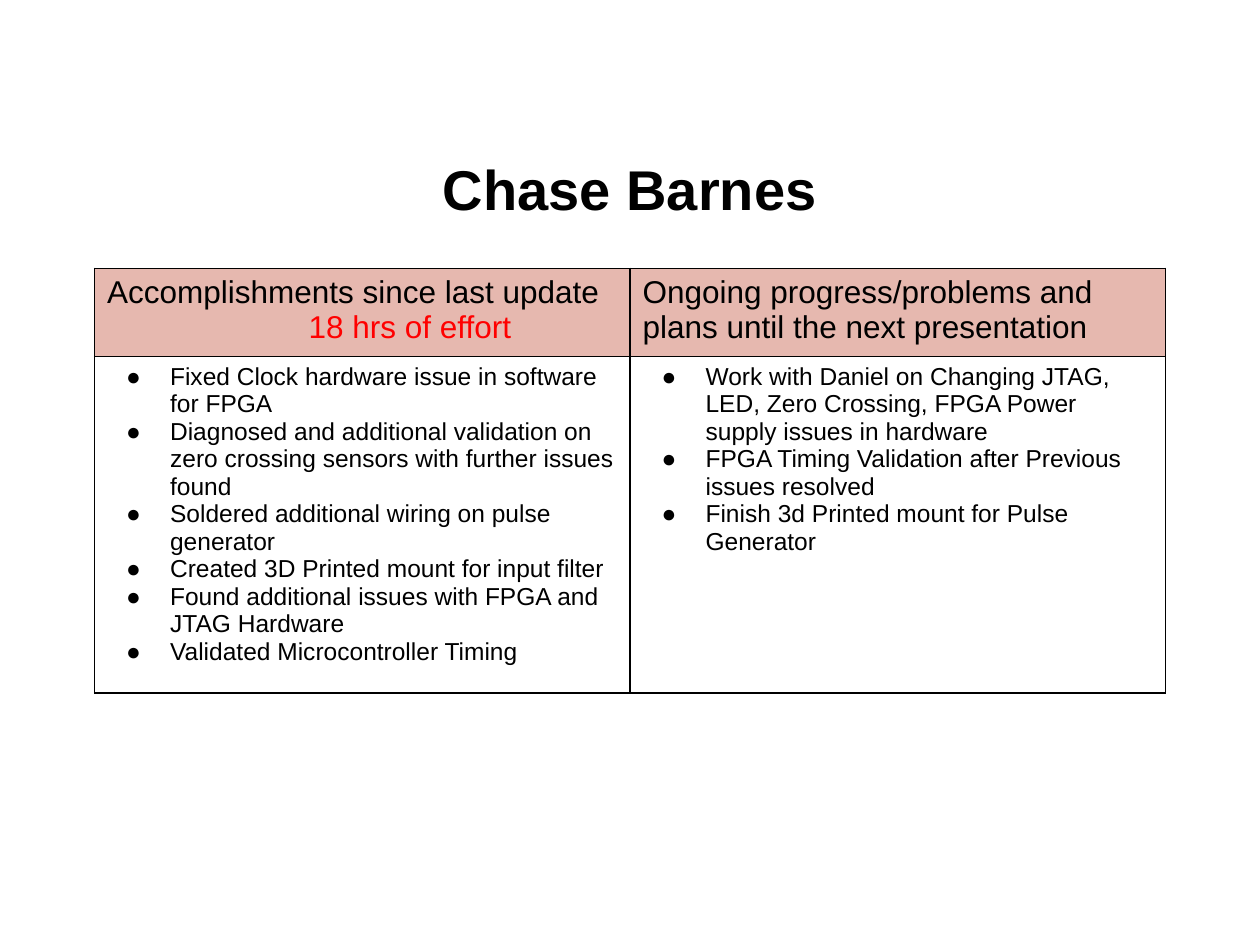
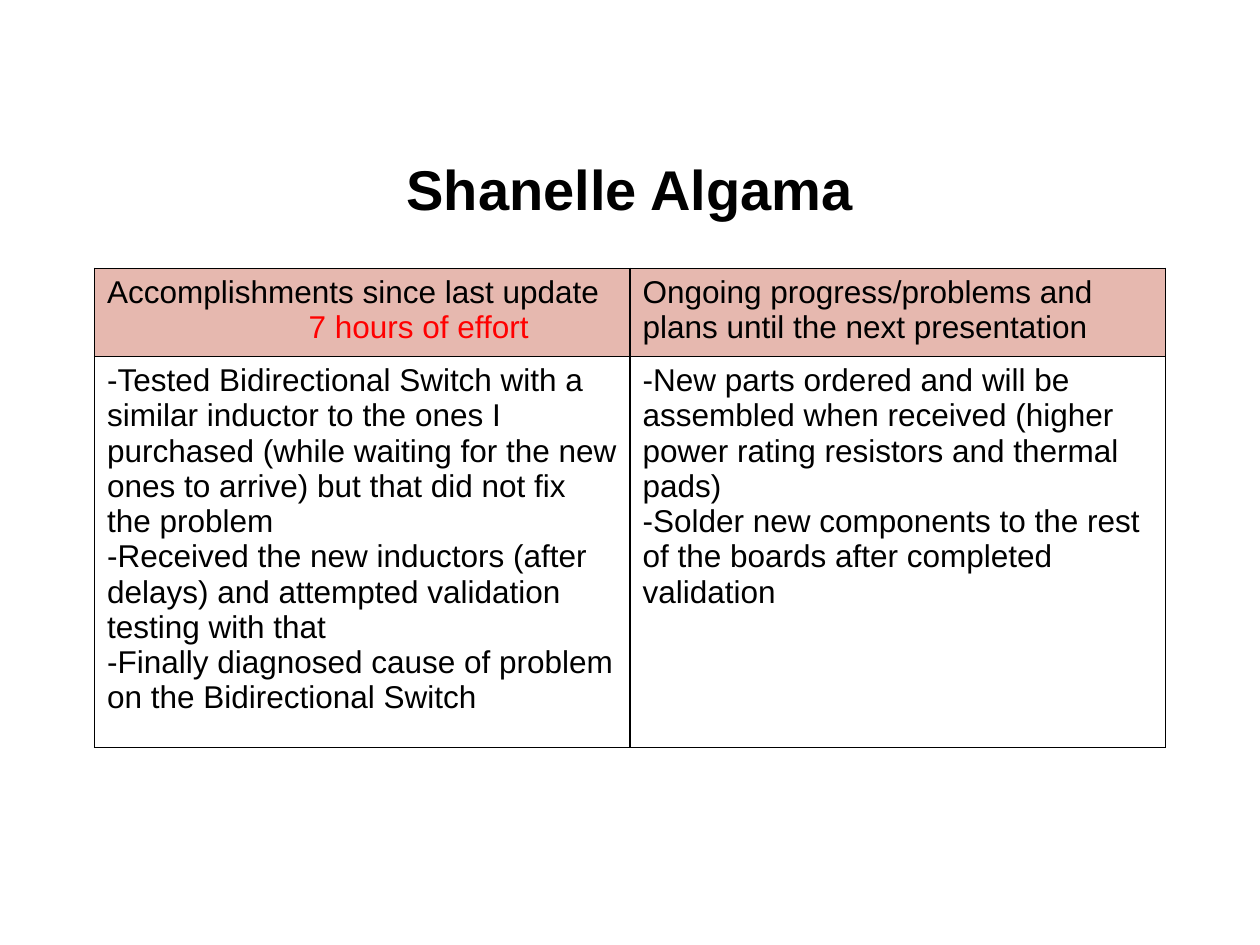
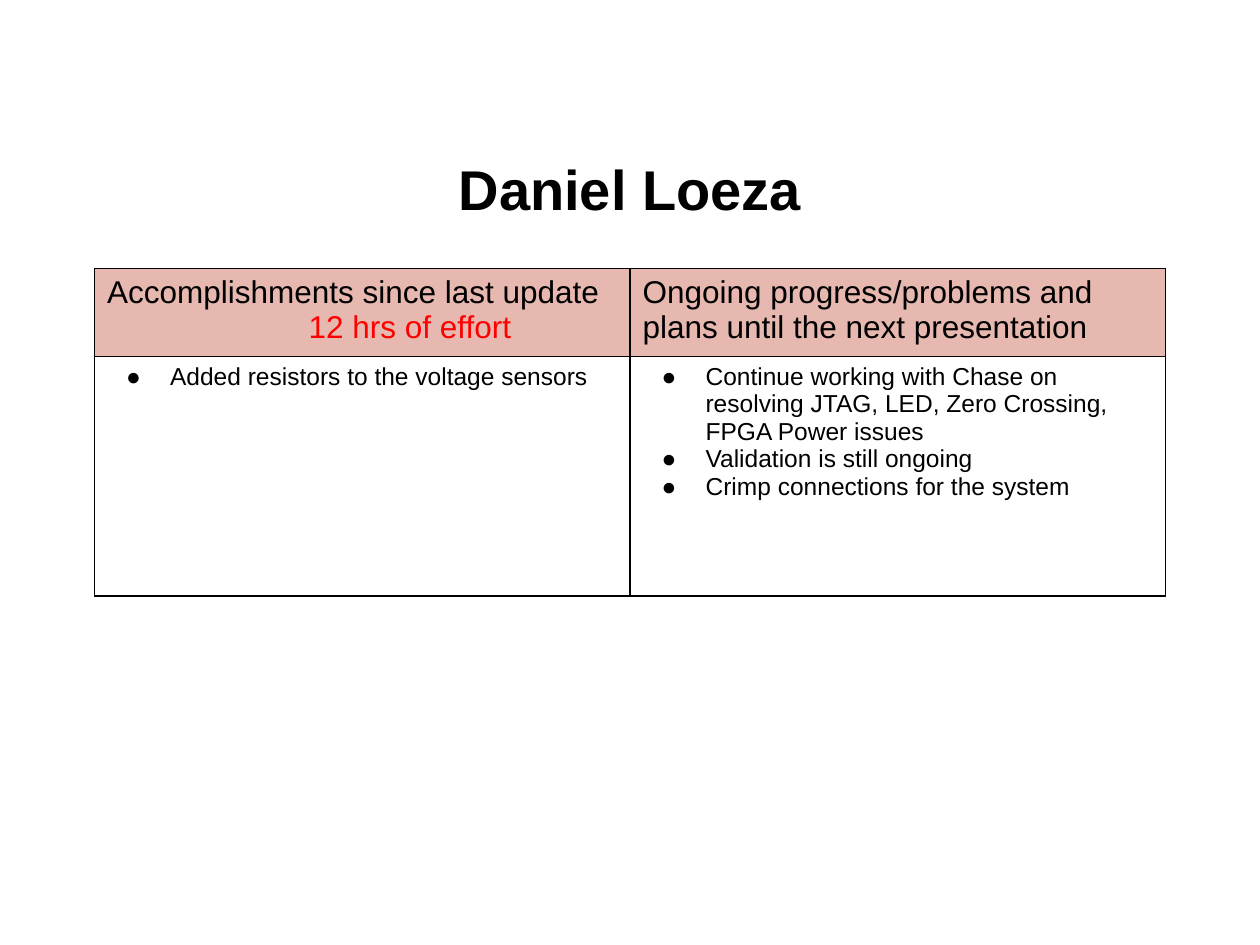
from lxml import etree
from pptx import Presentation
from pptx import util as u
from pptx.dml.color import RGBColor
from pptx.enum import text
from pptx.oxml import ns

WIDE, HIGH = 10, 7.5
FONT = "Arial"
INK = {"text": "000000", "effort": "FF0000", "head": "E6B8AF", "page": "FFFFFF"}
TITLE = (0.5, 1.01, 9, 0.88)
GRID = (0.75, 2.13, 8.5, 2.6)
ROWS = (0.7, 1.9)
DONE = "Accomplishments since last update"
NEXT = "Ongoing progress/problems and plans until the next presentation"

PEOPLE = [
    {"name": "Chase Barnes", "effort": "18 hrs of effort", "list": True,
     "done": ["Fixed Clock hardware issue in software for FPGA",
              "Diagnosed and additional validation on zero crossing sensors "
              "with further issues found",
              "Soldered additional wiring on pulse generator",
              "Created 3D Printed mount for input filter",
              "Found additional issues with FPGA and JTAG Hardware",
              "Validated Microcontroller Timing"],
     "next": ["Work with Daniel on Changing JTAG, LED, Zero Crossing, FPGA Power "
              "supply issues in hardware",
              "FPGA Timing Validation after Previous issues resolved",
              "Finish 3d Printed mount for Pulse Generator"]},
    {"name": "Shanelle Algama", "effort": "7 hours of effort", "list": False,
     "done": ["-Tested Bidirectional Switch with a similar inductor to the ones I "
              "purchased (while waiting for the new ones to arrive) but that did "
              "not fix the problem",
              "-Received the new inductors (after delays) and attempted validation "
              "testing with that",
              "-Finally diagnosed cause of problem on the Bidirectional Switch"],
     "next": ["-New parts ordered and will be assembled when received (higher power "
              "rating resistors and thermal pads)",
              "-Solder new components to the rest of the boards after completed "
              "validation"]},
    {"name": "Daniel Loeza", "effort": "12 hrs of effort", "list": True,
     "done": ["Added resistors to the voltage sensors"],
     "next": ["Continue working with Chase on resolving JTAG, LED, Zero Crossing, "
              "FPGA Power issues",
              "Validation is still ongoing",
              "Crimp connections for the system"]},
]


def add(node, tag, **attrs):
    """Append a drawing element to a node and return it."""
    return etree.SubElement(node, ns.qn(f"a:{tag}"), attrs)


def tint(node, ink):
    """Append a colour element to a node."""
    add(node, "srgbClr", val=INK[ink])


def style(para, size, ink="text", bold=False):
    """Set the font of a whole paragraph."""
    font = para.font
    font.name, font.size, font.bold = FONT, u.Pt(size), bold
    font.color.rgb = RGBColor.from_string(INK[ink])


def indent(para, left, first=0):
    """Set the left margin and first line indent of a paragraph."""
    props = para._p.get_or_add_pPr()
    props.set("marL", str(u.Inches(left)))
    props.set("indent", str(u.Inches(first)))
    return props


def bullet(para):
    """Give a paragraph a hanging round bullet."""
    props = indent(para, 0.5, -0.35)
    tint(add(props, "buClr"), "text")
    add(props, "buFont", typeface=FONT)
    add(props, "buChar", char="●")


def paint(cell, ink):
    """Draw the four borders of a cell and fill it."""
    props = cell._tc.get_or_add_tcPr()
    for side in ("lnL", "lnR", "lnT", "lnB"):
        line = add(props, side, w=str(u.Pt(1)))
        tint(add(line, "solidFill"), "text")
    cell.fill.solid()
    cell.fill.fore_color.rgb = RGBColor.from_string(INK[ink])


def write(cell, lines, listed=False):
    """Fill a cell with one paragraph per line and return the paragraphs."""
    frame = cell.text_frame
    frame.text = "\n".join(lines)
    for para in frame.paragraphs:
        if listed:
            bullet(para)
        style(para, 14 if listed else 18)
    return frame.paragraphs


def title(slide, box, name):
    """Add the centred name of a person."""
    frame = slide.shapes.add_textbox(*map(u.Inches, box)).text_frame
    frame.word_wrap = True
    frame.vertical_anchor = text.MSO_ANCHOR.MIDDLE
    para = frame.paragraphs[0]
    para.text = name
    para.alignment = text.PP_ALIGN.CENTER
    para.line_spacing = 1.15
    style(para, 32, bold=True)


def report(slide, box, person):
    """Add the table of finished and planned work."""
    table = slide.shapes.add_table(2, 2, *map(u.Inches, box)).table
    table.first_row = table.horz_banding = False
    for col in table.columns:
        col.width = u.Inches(box[2] / 2)
    for row, high, ink in zip(table.rows, ROWS, ("head", "page")):
        row.height = u.Inches(high)
        for cell in row.cells:
            paint(cell, ink)
    effort = write(table.cell(0, 0), [DONE, person["effort"]])[1]
    indent(effort, 1.6)
    style(effort, 18, "effort")
    write(table.cell(0, 1), [NEXT])
    for col, part in enumerate(("done", "next")):
        write(table.cell(1, col), person[part], person["list"])


def main():
    """Build one update slide per person."""
    deck = Presentation()
    deck.slide_width, deck.slide_height = u.Inches(WIDE), u.Inches(HIGH)
    for person in PEOPLE:
        slide = deck.slides.add_slide(deck.slide_layouts[6])
        title(slide, TITLE, person["name"])
        report(slide, GRID, person)
    deck.save("out.pptx")


if __name__ == "__main__":
    main()
